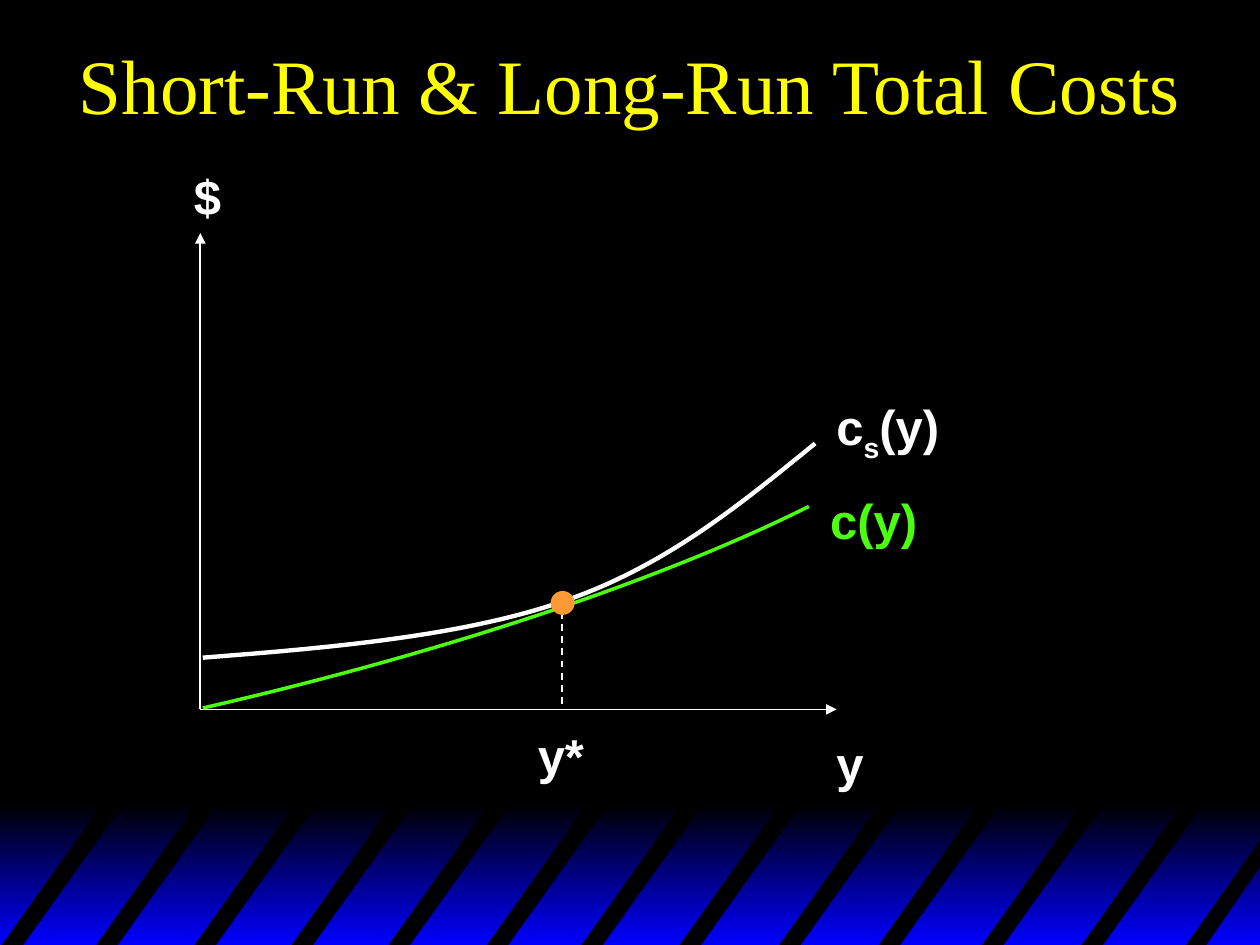
"""Build a slide that compares short-run and long-run total cost curves."""
from dataclasses import dataclass

from lxml import etree
from pptx import Presentation
from pptx.dml.color import RGBColor
from pptx.enum.dml import MSO_LINE
from pptx.enum.shapes import MSO_CONNECTOR, MSO_SHAPE
from pptx.enum.text import MSO_ANCHOR, MSO_AUTO_SIZE, PP_ALIGN
from pptx.oxml.ns import qn
from pptx.util import Inches, Pt

DASH = MSO_LINE.DASH
STRAIGHT = MSO_CONNECTOR.STRAIGHT
RECT, OVAL = MSO_SHAPE.RECTANGLE, MSO_SHAPE.OVAL
MIDDLE = MSO_ANCHOR.MIDDLE
NO_FIT = MSO_AUTO_SIZE.NONE
CENTER = PP_ALIGN.CENTER

Point = tuple[float, float]


@dataclass(frozen=True)
class Theme:
    black: RGBColor = RGBColor(0, 0, 0)
    blue: RGBColor = RGBColor(0, 0, 255)
    white: RGBColor = RGBColor(255, 255, 255)
    yellow: RGBColor = RGBColor(255, 255, 0)
    green: RGBColor = RGBColor(0x4C, 0xFF, 0x11)
    orange: RGBColor = RGBColor(0xFF, 0x99, 0x33)
    serif: str = "Times New Roman"
    sans: str = "Arial"
    title: Pt = Pt(44)
    label: Pt = Pt(28)


THEME = Theme()


@dataclass(frozen=True)
class Label:
    words: tuple[str, ...]
    left: float
    top: float
    width: float
    height: float = 0.57
    color: RGBColor = THEME.white


@dataclass(frozen=True)
class Curve:
    knots: tuple[Point, ...]
    color: RGBColor
    width: float


@dataclass(frozen=True)
class Rule:
    start: Point
    end: Point
    arrow: bool = True


ORIGIN = (1.59, 5.63)
RULES = (
    Rule(ORIGIN, (1.59, 1.85)),
    Rule(ORIGIN, (6.64, 5.63)),
    Rule((4.46, 4.76), (4.46, 5.63), arrow=False),
)
CURVES = (
    Curve(((6.42, 4.02), (5.24, 4.61), (3.49, 5.19), (1.61, 5.62)), THEME.green, 2),
    Curve(((1.61, 5.22), (2.64, 5.14), (3.67, 5.05), (4.48, 4.77),
           (5.29, 4.49), (5.88, 4), (6.47, 3.52)), THEME.white, 2.5),
)
LABELS = (
    Label(("y",), 6.54, 5.77, 0.42),
    Label(("$",), 1.44, 1.27, 0.42),
    Label(("c(y)",), 6.49, 3.84, 0.89, color=THEME.green),
    Label(("c", "s", "(y)"), 6.54, 3.1, 1.02, 0.63),
    Label(("y*",), 4.17, 5.71, 1),
)
STRIPES = (0, 0.75, 1.53, 2.3, 3.07, 3.85, 4.6, 5.38, 6.17, 6.96, 7.78, 8.57)


def draw_path(slide, points: list[Point], close: bool):
    """Draw a freeform through points given in inches."""
    spots = [(Inches(x), Inches(y)) for x, y in points]
    pen = slide.shapes.build_freeform(*spots[0])
    pen.add_line_segments(spots[1:], close=close)
    shape = pen.convert_to_shape()
    shape.shadow.inherit = False
    return shape


def draw_band(slide) -> None:
    """Draw the shaded foot of the slide with its slanted stripes."""
    band = slide.shapes.add_shape(RECT, 0, Inches(6.38), Inches(10.02), Inches(1.12))
    band.shadow.inherit = False
    band.line.fill.background()
    band.fill.gradient()
    band.fill.gradient_angle = 270
    for stop, color in zip(band.fill.gradient_stops, (THEME.black, THEME.blue)):
        stop.color.rgb = color
    top, foot = 6.34, 7.52
    bars = [[(x, foot), (x + 0.84, top), (x + 1.01, top), (x + 0.17, foot)]
            for x in STRIPES]
    bars.append([(9.4, foot), (10.02, 6.64), (10.02, 6.85), (9.56, foot)])
    for bar in bars:
        shape = draw_path(slide, bar, True)
        shape.fill.solid()
        shape.fill.fore_color.rgb = THEME.black
        shape.line.fill.background()


def draw_rule(slide, rule: Rule) -> None:
    """Draw an axis with an arrowhead, or a dashed guide."""
    ends = [Inches(v) for v in rule.start + rule.end]
    line = slide.shapes.add_connector(STRAIGHT, *ends)
    line.line.color.rgb = THEME.white
    line.line.width = Pt(1)
    props = line._element.spPr
    if rule.arrow:
        tail = etree.SubElement(props.find(qn("a:ln")), qn("a:tailEnd"))
        tail.set("type", "triangle")
    else:
        line.line.dash_style = DASH
    etree.SubElement(props, qn("a:effectLst"))


def trace(knots: tuple[Point, ...], steps: int = 30) -> list[Point]:
    """Return points along a chain of cubic curves."""
    points = [knots[0]]
    for first in range(0, len(knots) - 1, 3):
        span = knots[first:first + 4]
        for step in range(1, steps + 1):
            t = step / steps
            u = 1 - t
            mix = (u ** 3, 3 * u * u * t, 3 * u * t * t, t ** 3)
            points.append((sum(m * x for m, (x, _) in zip(mix, span)),
                           sum(m * y for m, (_, y) in zip(mix, span))))
    return points


def draw_curve(slide, curve: Curve) -> None:
    """Draw a smooth cost curve."""
    shape = draw_path(slide, trace(curve.knots), False)
    shape.fill.background()
    shape.line.color.rgb = curve.color
    shape.line.width = Pt(curve.width)


def draw_dot(slide) -> None:
    """Mark the point where the curves touch."""
    size = Inches(0.19)
    dot = slide.shapes.add_shape(OVAL, Inches(4.37), Inches(4.69), size, size)
    dot.shadow.inherit = False
    dot.fill.solid()
    dot.fill.fore_color.rgb = THEME.orange
    dot.line.fill.background()


def draw_label(slide, label: Label) -> None:
    """Write a label, with any second word as a subscript."""
    place = (label.left, label.top, label.width, label.height)
    box = slide.shapes.add_textbox(*[Inches(v) for v in place])
    para = box.text_frame.paragraphs[0]
    for index, word in enumerate(label.words):
        run = para.add_run()
        run.text = word
        if index == 1:
            run.font._element.set("baseline", "-25000")
    font = para.font
    font.name, font.size, font.bold = THEME.sans, THEME.label, True
    font.color.rgb = label.color
    box.text_frame.word_wrap = label.words == ("y*",)


def draw_title(slide, text: str) -> None:
    """Place and format the slide title."""
    title = slide.shapes.title
    title.left, title.top = 0, 0
    title.width, title.height = Inches(10), Inches(1.33)
    frame = title.text_frame
    frame.text = text
    frame.auto_size, frame.vertical_anchor = NO_FIT, MIDDLE
    para = frame.paragraphs[0]
    para.alignment = CENTER
    para.font.name, para.font.size = THEME.serif, THEME.title
    para.font.color.rgb = THEME.yellow


def main() -> None:
    """Build and save the slide."""
    deck = Presentation()
    deck.slide_width, deck.slide_height = Inches(10), Inches(7.5)
    slide = deck.slides.add_slide(deck.slide_layouts[5])
    slide.background.fill.solid()
    slide.background.fill.fore_color.rgb = THEME.black
    draw_band(slide)
    draw_title(slide, "Short-Run & Long-Run Total Costs")
    for draw, items in ((draw_rule, RULES), (draw_curve, CURVES), (draw_label, LABELS)):
        for item in items:
            draw(slide, item)
    draw_dot(slide)
    deck.save("out.pptx")


if __name__ == "__main__":
    main()
